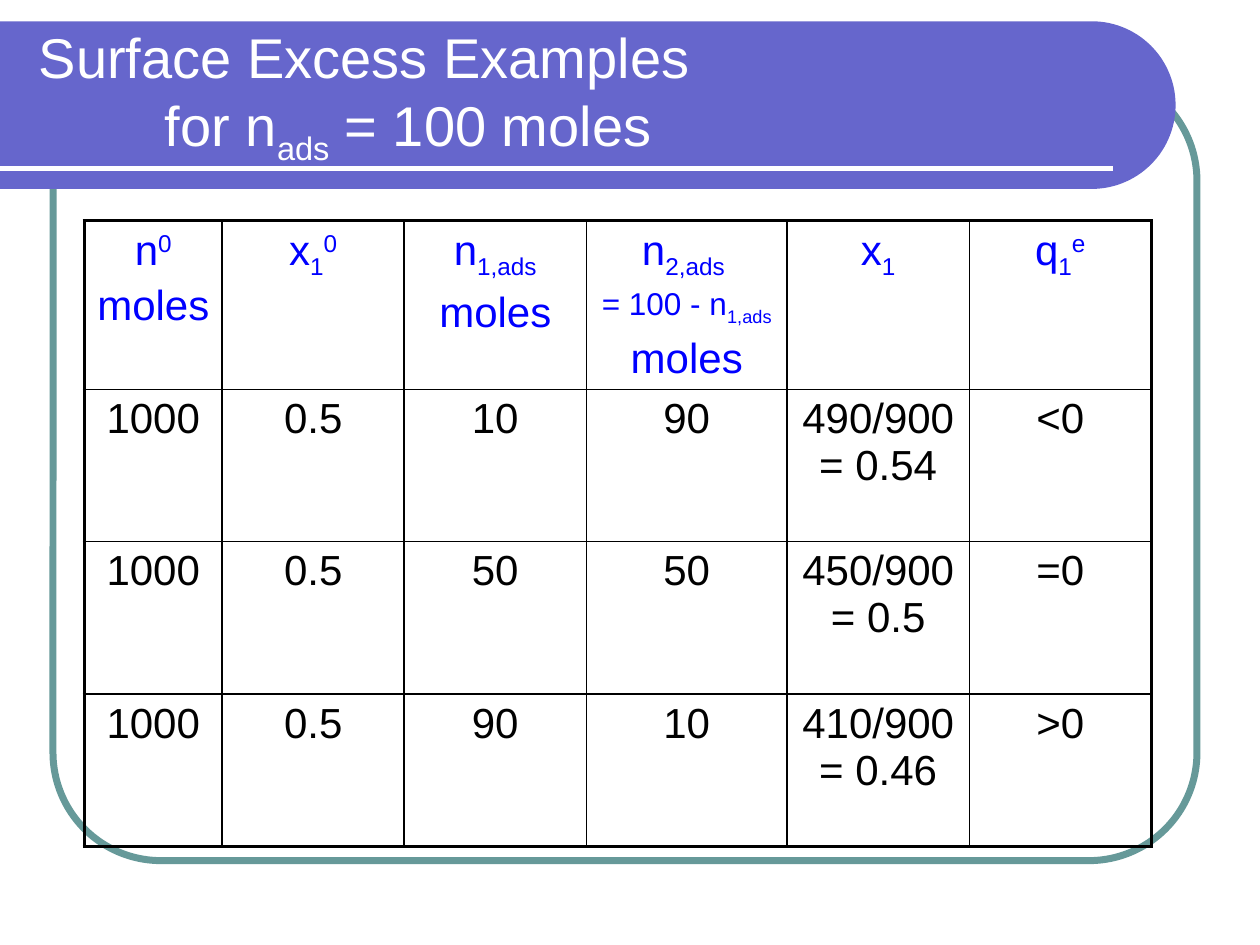
import math
from lxml import etree
from pptx import Presentation
from pptx import util as u
from pptx.dml.color import RGBColor
from pptx.enum import shapes, text
from pptx.oxml import ns

WHITE, BLACK, BLUE = "FFFFFF", "000000", "0000FF"
VIOLET, TEAL = "6666CC", "669999"
SUB, SUP = -25, 30
COLUMNS = [2.78, 3.67, 3.67, 4.05, 3.67, 3.67]
ROWS = [3.4, 3.07, 3.07, 3.07]
HEADER = [
    [[("n", 0), ("0", SUP)], [("moles", 0)]],
    [[("x", 0), ("1", SUB), ("0", SUP)]],
    [[("n", 0), ("1,ads", SUB)], [("moles", 0)]],
    [[("n", 0), ("2,ads ", SUB)], [("= 100 - n", 0, 18), ("1,ads", SUB, 18)], [("moles", 0)]],
    [[("x", 0), ("1", SUB)]],
    [[("q", 0), ("1", SUB), ("e", SUP)]],
]
BODY = [
    ["1000", "0.5", "10", "90", "490/900= 0.54", "<0"],
    ["1000", "0.5", "50", "50", "450/900 = 0.5", "=0"],
    ["1000", "0.5", "90", "10", "410/900= 0.46", ">0"],
]


def rgb(value):
    """Turn a hex string into a colour."""
    return RGBColor.from_string(value)


def add_run(p, content, base, size, color):
    """Add one run, raised or lowered by base percent."""
    r = p.add_run()
    r.text = content
    r.font.name, r.font.size = "Arial", u.Pt(size)
    r.font.color.rgb = rgb(color)
    if base:
        r.font._element.set("baseline", str(base * 1000))


def add_tab_stop(p, position):
    """Set a left tab stop on a paragraph."""
    tabs = etree.SubElement(p._p.get_or_add_pPr(), ns.qn("a:tabLst"))
    etree.SubElement(tabs, ns.qn("a:tab"), pos=str(int(position)), algn="l")


def add_frame(s):
    """Draw the rounded outline behind the content."""
    sp = s.shapes.add_shape(shapes.MSO_SHAPE.ROUNDED_RECTANGLE,
                            u.Cm(1.07), u.Cm(1.47), u.Cm(23.06), u.Cm(15.88))
    sp.adjustments[0] = 0.137
    sp.shadow.inherit = False
    sp.fill.background()
    sp.line.color.rgb, sp.line.width = rgb(TEAL), u.Pt(4)


def add_band(s, top, width, height):
    """Draw the title band with its round right end."""
    radius = height / 2
    angles = [math.radians(a) for a in range(-90, 91, 3)]
    arc = [(width - radius + radius * math.cos(a), top + radius + radius * math.sin(a))
           for a in angles]
    builder = s.shapes.build_freeform(0, u.Cm(top))
    builder.add_line_segments([(u.Cm(x), u.Cm(y)) for x, y in arc + [(0, top + height)]])
    sp = builder.convert_to_shape()
    sp.shadow.inherit = False
    sp.fill.solid()
    sp.fill.fore_color.rgb = rgb(VIOLET)
    sp.line.fill.background()


def add_rule(s):
    """Draw the white line under the title."""
    line = s.shapes.add_connector(shapes.MSO_CONNECTOR.STRAIGHT,
                                  0, u.Cm(3.39), u.Cm(22.43), u.Cm(3.39))
    line.line.color.rgb, line.line.width = rgb(WHITE), u.Pt(3)
    etree.SubElement(line._element.spPr, ns.qn("a:effectLst"))


def set_title(s):
    """Place the title in front of the band and write it."""
    sp = s.shapes.title
    sp.left, sp.top, sp.width, sp.height = u.Cm(0.53), u.Cm(0.64), u.Cm(22.28), u.Cm(2.54)
    sp._element.getparent().append(sp._element)
    tf = sp.text_frame
    tf.word_wrap, tf.auto_size = True, text.MSO_AUTO_SIZE.NONE
    tf.vertical_anchor = text.MSO_ANCHOR.MIDDLE
    p = tf.paragraphs[0]
    p.alignment = text.PP_ALIGN.LEFT
    add_tab_stop(p, u.Cm(2.54))
    add_run(p, "Surface Excess Examples", 0, 32, WHITE)
    p.add_line_break()
    for content, base in [("\tfor n", 0), ("ads", SUB), (" = 100 moles", 0)]:
        add_run(p, content, base, 32, WHITE)


def set_borders(cell, outer):
    """Draw the cell borders, thicker on the outer sides."""
    tc_pr = cell._tc.get_or_add_tcPr()
    for side in "LRTB":
        width = u.Pt(2.25 if side in outer else 1)
        ln = etree.SubElement(tc_pr, ns.qn("a:ln" + side), w=str(int(width)))
        fill = etree.SubElement(ln, ns.qn("a:solidFill"))
        etree.SubElement(fill, ns.qn("a:srgbClr"), val=BLACK)


def fill_cell(cell, paragraphs, color):
    """Write centred paragraphs into a cell without fill."""
    cell.fill.background()
    cell.margin_left = cell.margin_right = u.Cm(0.23)
    tf = cell.text_frame
    for i, runs in enumerate(paragraphs):
        p = tf.add_paragraph() if i else tf.paragraphs[0]
        p.alignment = text.PP_ALIGN.CENTER
        sizes = [run[2] if len(run) > 2 else 24 for run in runs]
        p.space_before = u.Pt(0.2 * sizes[0])
        for run, size in zip(runs, sizes):
            add_run(p, run[0], run[1], size, color)


def add_data_table(s):
    """Build the table of surface excess cases."""
    rows = [HEADER] + [[[[(value, 0)]] for value in row] for row in BODY]
    table = s.shapes.add_table(len(ROWS), len(COLUMNS), u.Cm(1.7), u.Cm(4.45),
                               u.Cm(sum(COLUMNS)), u.Cm(sum(ROWS))).table
    table.first_row = table.horz_banding = False
    for column, width in zip(table.columns, COLUMNS):
        column.width = u.Cm(width)
    for i, row in enumerate(rows):
        table.rows[i].height = u.Cm(ROWS[i])
        for j, paragraphs in enumerate(row):
            edges = {"T": i == 0, "B": i == len(ROWS) - 1,
                     "L": j == 0, "R": j == len(COLUMNS) - 1}
            cell = table.cell(i, j)
            set_borders(cell, [side for side, outer in edges.items() if outer])
            fill_cell(cell, paragraphs, BLACK if i else BLUE)


def main():
    """Build the slide and save it."""
    prs = Presentation()
    prs.slide_width, prs.slide_height = u.Cm(25.4), u.Cm(19.05)
    s = prs.slides.add_slide(prs.slide_layouts[5])
    add_frame(s)
    add_band(s, 0.43, 23.7, 3.38)
    add_rule(s)
    set_title(s)
    add_data_table(s)
    prs.save("out.pptx")


main()
